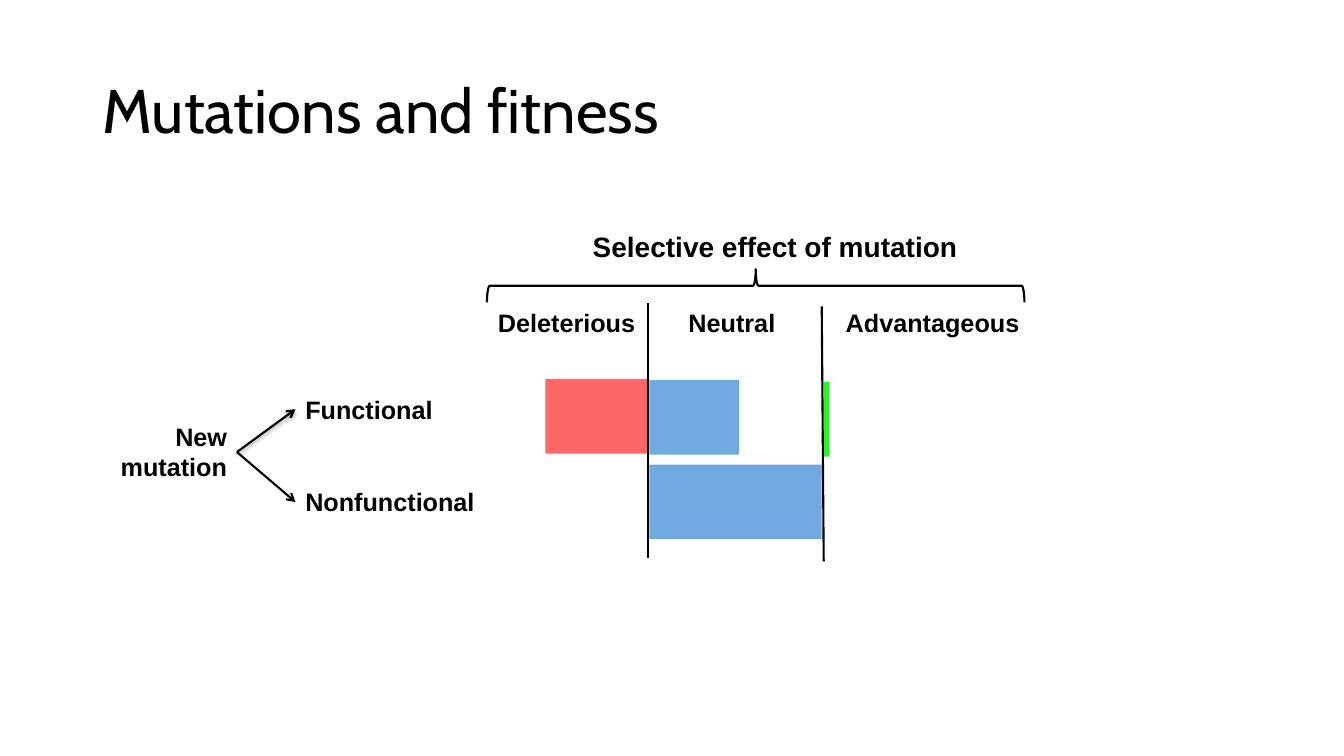
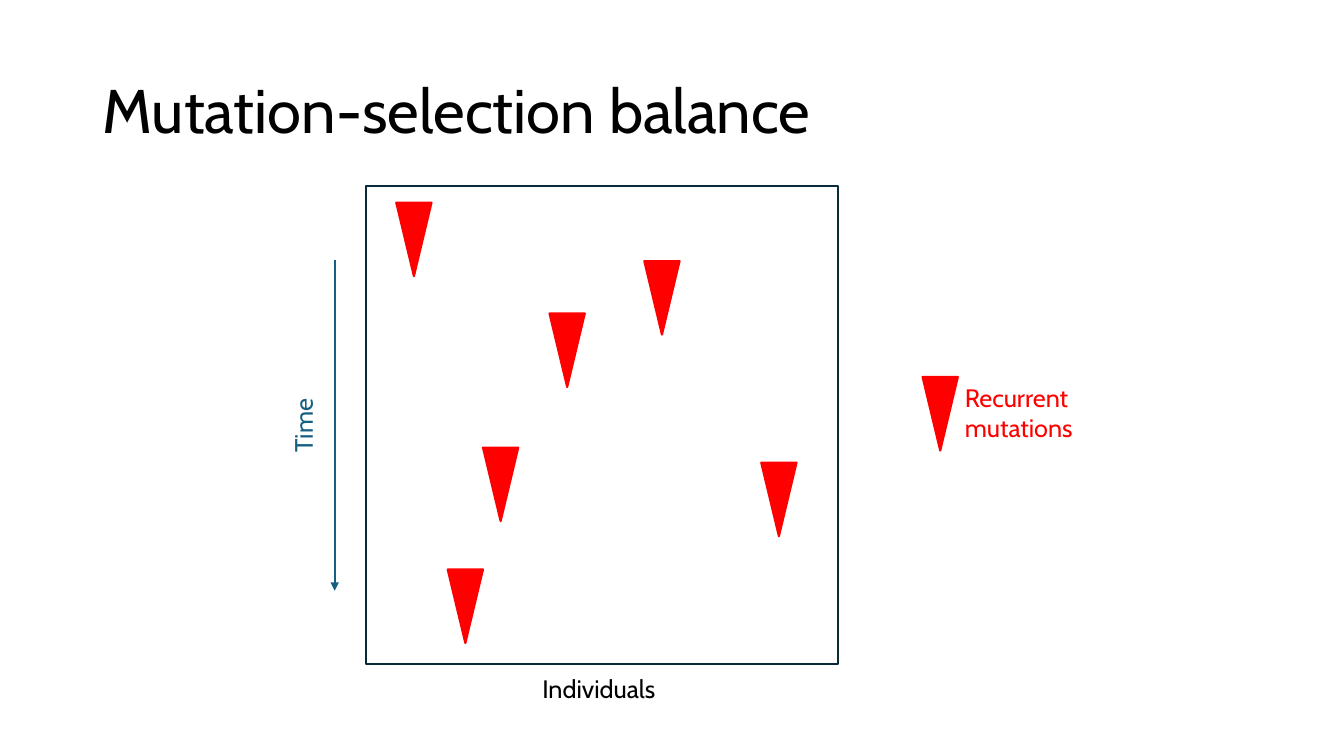
from lxml.etree import SubElement
from pptx import Presentation
from pptx.dml.color import RGBColor
from pptx.enum.shapes import MSO_CONNECTOR, MSO_SHAPE
from pptx.enum.text import MSO_ANCHOR, MSO_AUTO_SIZE, PP_ALIGN
from pptx.oxml.ns import qn
from pptx.util import Inches, Pt


class Theme:
    black = "000000"
    rose = "FF6666"
    blue = "71AAE0"
    green = "2BF32B"
    red = "FF0000"
    navy = "092A39"
    teal = "156082"
    head = "Cabin"
    body = "Arial"
    title = 44
    large = 20
    label = 18
    line = 1.5


TITLES = ["Mutations and fitness", "Mutation-selection balance"]

BARS = [
    (5.41, 3.76, 1.01, Theme.rose),
    (6.44, 3.77, 0.89, Theme.blue),
    (8.17, 3.79, 0.06, Theme.green),
    (6.44, 4.61, 1.71, Theme.blue),
]
BAR_H = 0.74
RULES = [((6.43, 3.01), (6.43, 5.54)), ((8.15, 3.04), (8.17, 5.57))]
EFFECTS = [("Deleterious", 4.84, 1.58), ("Neutral", 6.73, 1.09), ("Advantageous", 8.29, 1.94)]
EFFECT_Y = 3
KINDS = [("Functional", 3.86, 1.66, True), ("Nonfunctional", 4.78, 1.9, False)]
KIND_X = 2.93
LABEL_H = 0.4

SPIKES = [(3.93, 2.01), (4.79, 4.44), (5.45, 3.11), (6.39, 2.59), (7.55, 4.59), (4.44, 5.65)]
KEY = (9.15, 3.74)
SPIKE_W, SPIKE_H = 0.35, 0.73


def color(code):
    return RGBColor.from_string(code)


def text(slide, words, x, y, w, h, size=Theme.label, face=Theme.body, tint=Theme.black,
         bold=False, wrap=False, align=None):
    box = slide.shapes.add_textbox(Inches(x), Inches(y), Inches(w), Inches(h))
    frame = box.text_frame
    frame.word_wrap = wrap
    frame.auto_size = MSO_AUTO_SIZE.SHAPE_TO_FIT_TEXT
    frame.text = words
    para = frame.paragraphs[0]
    para.alignment = align
    font = para.runs[0].font
    font.size, font.name, font.bold = Pt(size), face, bold
    font.color.rgb = color(tint)
    return box


def shape(slide, kind, x, y, w, h, fill=None, line=None, turn=0):
    item = slide.shapes.add_shape(kind, Inches(x), Inches(y), Inches(w), Inches(h))
    item.shadow.inherit = False
    item.rotation = turn
    if fill:
        item.fill.solid()
        item.fill.fore_color.rgb = color(fill)
    else:
        item.fill.background()
    if line:
        item.line.color.rgb = color(line)
        item.line.width = Pt(Theme.line)
    else:
        item.line.fill.background()
    return item


def line(slide, start, end, tint=Theme.black, tip=None, shade=False):
    points = [Inches(n) for n in (*start, *end)]
    item = slide.shapes.add_connector(MSO_CONNECTOR.STRAIGHT, *points)
    item.line.color.rgb = color(tint)
    item.line.width = Pt(Theme.line)
    if tip:
        SubElement(item.line._get_or_add_ln(), qn("a:tailEnd"), type=tip)
    effect = SubElement(item._element.spPr, qn("a:effectLst"))
    if shade:
        blur = SubElement(effect, qn("a:outerShdw"), blurRad=str(Pt(3.1)), dist=str(Pt(1.6)),
                          dir="5400000", rotWithShape="0")
        tone = SubElement(blur, qn("a:srgbClr"), val=Theme.black)
        SubElement(tone, qn("a:alpha"), val="38000")
    return item


def spike(slide, x, y):
    shape(slide, MSO_SHAPE.ISOSCELES_TRIANGLE, x, y, SPIKE_W, SPIKE_H,
          Theme.red, Theme.red, 180)


def start(deck, words):
    slide = deck.slides.add_slide(deck.slide_layouts[6])
    box = text(slide, words, 0.92, 0.4, 11.5, 1.45, Theme.title, Theme.head, wrap=True)
    box.text_frame.auto_size = MSO_AUTO_SIZE.NONE
    box.text_frame.vertical_anchor = MSO_ANCHOR.MIDDLE
    box.text_frame.paragraphs[0].line_spacing = 0.9
    return slide


def fitness(slide):
    for x, y, w, fill in BARS:
        shape(slide, MSO_SHAPE.RECTANGLE, x, y, w, BAR_H, fill)
    for top, foot in RULES:
        line(slide, top, foot)
    for words, x, w in EFFECTS:
        text(slide, words, x, EFFECT_Y, w, LABEL_H, bold=True)
    root = text(slide, "New mutation", 1, 4.13, 1.35, 0.71, bold=True, wrap=True,
                align=PP_ALIGN.RIGHT)
    for words, y, w, shade in KINDS:
        leaf = text(slide, words, KIND_X, y, w, LABEL_H, bold=True)
        arrow = line(slide, (2.35, 4.49), (KIND_X, y + LABEL_H / 2), tip="arrow", shade=shade)
        arrow.begin_connect(root, 3)
        arrow.end_connect(leaf, 1)
    text(slide, "Selective effect of mutation", 5.78, 2.23, 3.84, 0.44, Theme.large, bold=True)
    shape(slide, MSO_SHAPE.LEFT_BRACE, 7.33, 0.17, 0.33, 5.33, line=Theme.black, turn=90)


def balance(slide):
    shape(slide, MSO_SHAPE.RECTANGLE, 3.63, 1.85, 4.68, 4.74, line=Theme.navy)
    time = text(slide, "Time", 2.64, 4.02, 0.73, LABEL_H, face=Theme.head, tint=Theme.teal)
    time.rotation = 270
    line(slide, (3.32, 2.58), (3.32, 5.86), Theme.teal, "triangle")
    for x, y in [*SPIKES, KEY]:
        spike(slide, x, y)
    text(slide, "Individuals", 5.28, 6.63, 1.39, LABEL_H, face=Theme.head)
    text(slide, "Recurrent mutations", 9.47, 3.74, 1.79, 0.71, face=Theme.head,
         tint=Theme.red, wrap=True)


def main():
    deck = Presentation()
    deck.slide_width, deck.slide_height = Inches(13.33), Inches(7.5)
    for words, draw in zip(TITLES, (fitness, balance)):
        draw(start(deck, words))
    deck.save("out.pptx")


if __name__ == "__main__":
    main()
